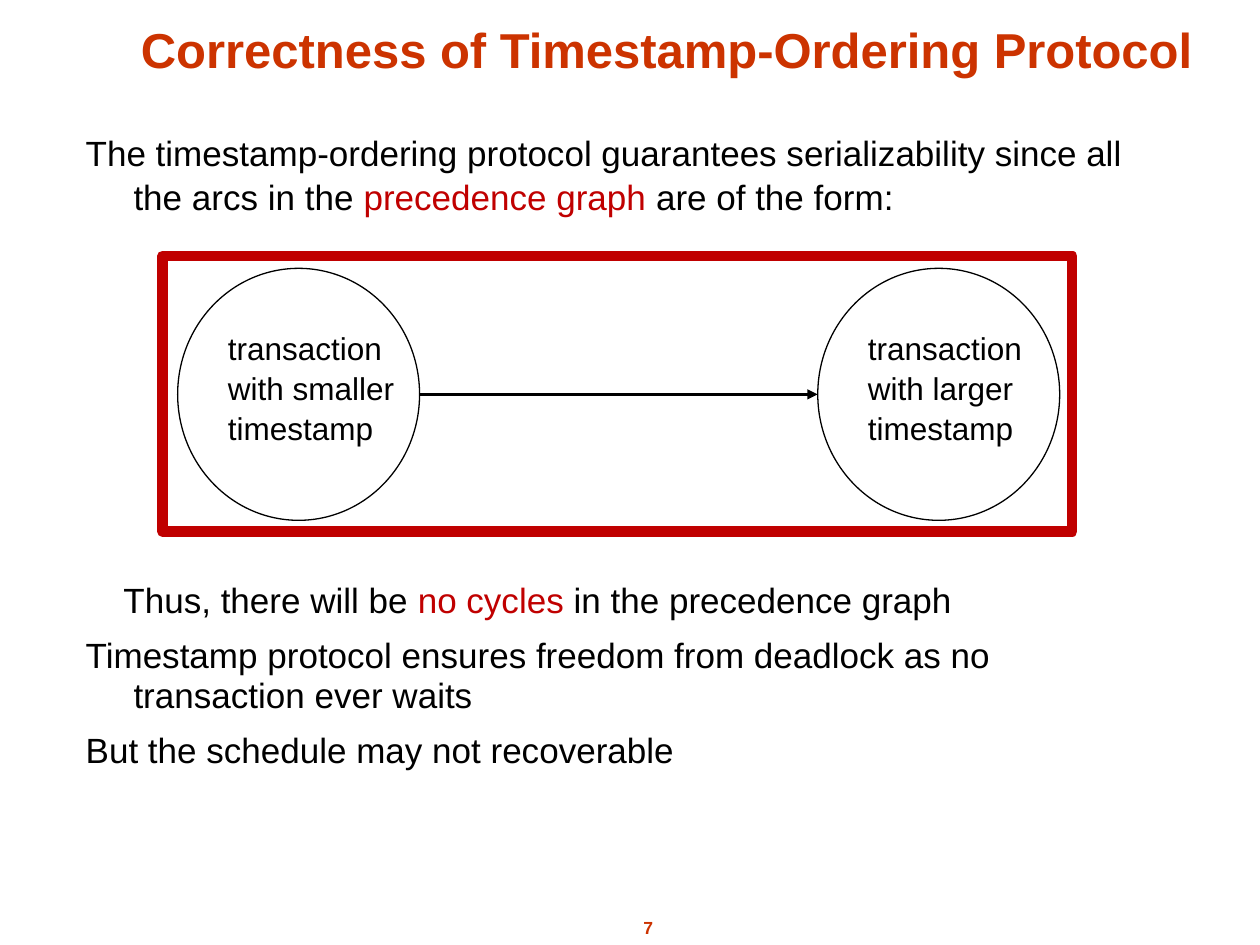
"""Build the slide on the correctness of the timestamp-ordering protocol."""
from lxml import etree
from pptx import Presentation
from pptx.dml.color import RGBColor
from pptx.enum.shapes import MSO_CONNECTOR, MSO_SHAPE
from pptx.enum.text import MSO_ANCHOR, MSO_AUTO_SIZE, PP_ALIGN
from pptx.oxml.ns import qn
from pptx.util import Inches, Pt

OVAL, RECTANGLE = MSO_SHAPE.OVAL, MSO_SHAPE.RECTANGLE
STRAIGHT = MSO_CONNECTOR.STRAIGHT
BOTTOM, TOP = MSO_ANCHOR.BOTTOM, MSO_ANCHOR.TOP
NO_FIT = MSO_AUTO_SIZE.NONE
CENTER, LEFT = PP_ALIGN.CENTER, PP_ALIGN.LEFT
BLACK, RED, ORANGE = "000000", "C00000", "CC3300"


def color(value):
    return RGBColor.from_string(value)


def style(run, size, value, bold=False):
    run.font.name = "Arial"
    run.font.size = Pt(size)
    run.font.bold = bold
    run.font.color.rgb = color(value)


prs = Presentation()
prs.slide_width, prs.slide_height = Inches(10), Inches(7.5)
slide = prs.slides.add_slide(prs.slide_layouts[1])
shapes = slide.shapes

title, body = shapes.title, slide.placeholders[1]
title.left, title.top = Inches(0.58), Inches(0)
title.width, title.height = Inches(9.42), Inches(0.67)
title.text_frame.text = "Correctness of Timestamp-Ordering Protocol"
title.text_frame.auto_size = NO_FIT
title.text_frame.vertical_anchor = BOTTOM
title.text_frame.paragraphs[0].alignment = CENTER
style(title.text_frame.paragraphs[0].runs[0], 28, ORANGE, True)

body.left, body.top = Inches(0.58), Inches(0.98)
body.width, body.height = Inches(8.62), Inches(5.78)
body.text_frame.auto_size = NO_FIT
body.text_frame.vertical_anchor = TOP

statements = [
    (0.38, -0.38, 0, 1.05, [
        ("The timestamp-ordering protocol guarantees serializability since all the arcs in the ", BLACK),
        ("precedence graph ", RED), ("are of the form:", BLACK)]),
    (0.3, 0, 205, 1.05, [
        ("Thus, there will be ", BLACK), ("no cycles ", RED),
        ("in the precedence graph", BLACK)]),
    (0.38, -0.38, 8.8, 0.95, [
        ("Timestamp protocol ensures freedom from deadlock as no transaction ever waits", BLACK)]),
    (0.38, -0.38, 8.8, 0.95, [("But the schedule may not recoverable", BLACK)]),
]
for i, (margin, indent, before, spacing, pieces) in enumerate(statements):
    statement = body.text_frame.paragraphs[0] if i == 0 else body.text_frame.add_paragraph()
    properties = statement._p.get_or_add_pPr()
    properties.set("marL", str(Inches(margin)))
    properties.set("indent", str(Inches(indent)))
    etree.SubElement(properties, qn("a:buNone"))
    statement.alignment = LEFT
    statement.space_before = Pt(before)
    statement.line_spacing = spacing
    for words, value in pieces:
        run = statement.add_run()
        run.text = words
        style(run, 20, value)

for left, size in ((1.41, "smaller"), (6.49, "larger")):
    node = shapes.add_shape(OVAL, Inches(left), Inches(2.13), Inches(1.92), Inches(2))
    node.shadow.inherit = False
    node.fill.background()
    node.line.color.rgb = color(BLACK)
    node.line.width = Pt(0.75)
    label = shapes.add_textbox(Inches(left + 0.3), Inches(2.55), Inches(1.52), Inches(1))
    label.text_frame.word_wrap = False
    label.text_frame.text = f"transaction\nwith {size}\ntimestamp"
    for line in label.text_frame.paragraphs:
        line.alignment = LEFT
        line.line_spacing = 1.05
        style(line.runs[0], 18, BLACK)

arc = shapes.add_connector(STRAIGHT, Inches(3.33), Inches(3.13), Inches(6.49), Inches(3.13))
arc.line.color.rgb = color(BLACK)
arc.line.width = Pt(1.5)
etree.SubElement(arc.line._get_or_add_ln(), qn("a:tailEnd"), type="triangle")
etree.SubElement(arc._element.spPr, qn("a:effectLst"))

frame = shapes.add_shape(RECTANGLE, Inches(1.29), Inches(2.03), Inches(7.22), Inches(2.19))
frame.shadow.inherit = False
frame.fill.background()
frame.line.color.rgb = color(RED)
frame.line.width = Pt(6)

page_number = shapes.add_textbox(Inches(4.71), Inches(7.23), Inches(0.87), Inches(0.27))
page_number.text_frame.word_wrap = True
page_number.text_frame.text = "7"
page_number.text_frame.paragraphs[0].alignment = CENTER
style(page_number.text_frame.paragraphs[0].runs[0], 10, ORANGE, True)

prs.save("out.pptx")
